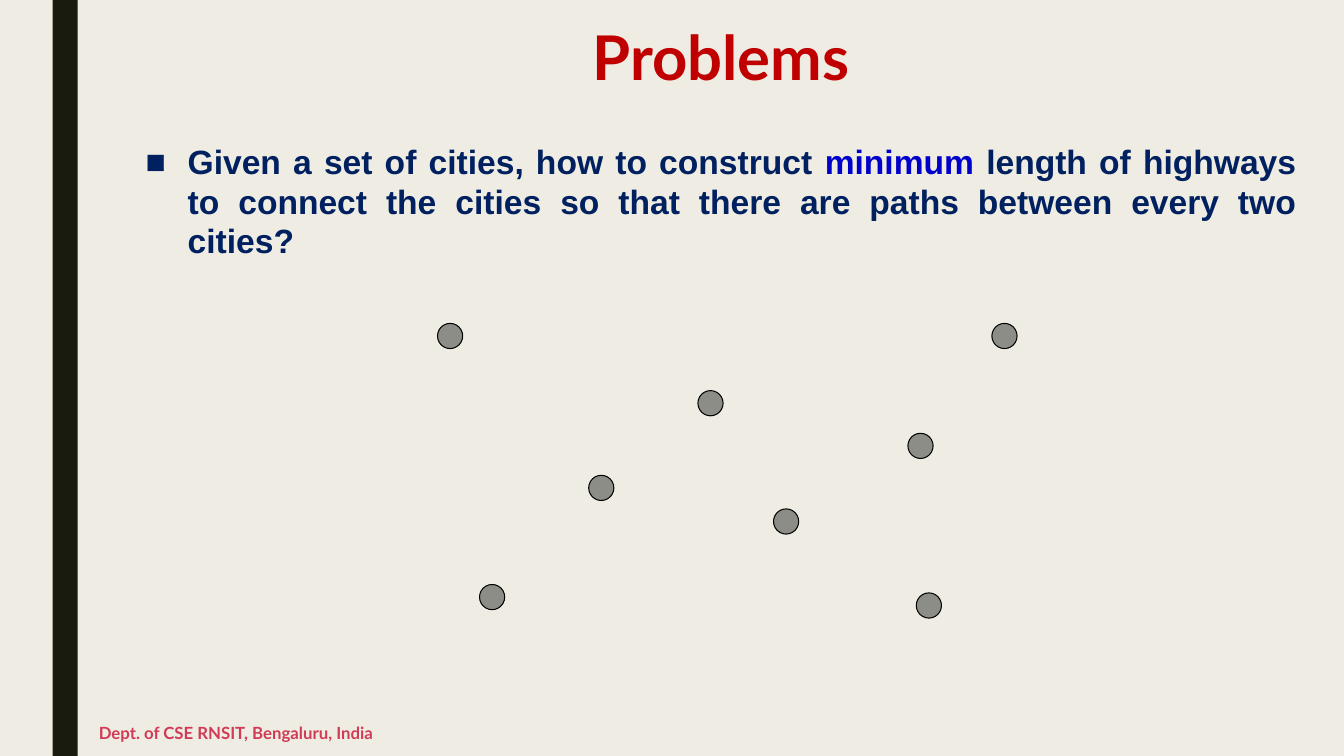
from dataclasses import dataclass

from lxml import etree
from pptx import Presentation
from pptx.dml.color import RGBColor
from pptx.enum import shapes, text
from pptx.oxml import ns
from pptx.util import Pt


@dataclass(frozen=True)
class Theme:
    background: str = "EFEDE3"
    bar: str = "191B0E"
    title: str = "C00000"
    body: str = "002060"
    accent: str = "0000CC"
    footer: str = "D13B56"
    city: str = "8C8D86"
    outline: str = "000000"
    heading_font: str = "Lato"
    body_font: str = "Arial"
    title_size: float = 44
    body_size: float = 24
    footer_size: float = 12


THEME = Theme()
CITY_SIZE = 18
# Left and top of each city, in points
CITIES = [(312.5, 231), (342.5, 417.5), (498.5, 279), (552.5, 363.5),
          (648.5, 309.5), (654.5, 423.5), (708.5, 231), (420.5, 339.5)]


def rgb(value):
    return RGBColor.from_string(value)


def set_attrs(target, values):
    for name, value in values.items():
        setattr(target, name, value)


def add_filled(s, kind, box, fill, line=None):
    sp = s.shapes.add_shape(kind, *map(Pt, box))
    sp.shadow.inherit = False
    sp.fill.solid()
    sp.fill.fore_color.rgb = rgb(fill)
    if line:
        sp.line.color.rgb = rgb(line)
        sp.line.width = Pt(0.75)
    else:
        sp.line.fill.background()


def add_text(s, box, runs, font, size, anchor=text.MSO_ANCHOR.TOP, **paragraph):
    """Add one bold paragraph made of (text, colour) runs."""
    tf = s.shapes.add_textbox(*map(Pt, box)).text_frame
    set_attrs(tf, {"word_wrap": True, "vertical_anchor": anchor})
    p = tf.paragraphs[0]
    set_attrs(p, paragraph)
    for content, color in runs:
        r = p.add_run()
        r.text = content
        set_attrs(r.font, {"name": font, "size": Pt(size), "bold": True})
        r.font.color.rgb = rgb(color)
    return p


def add_bullet(p, char, indent):
    props = p._p.get_or_add_pPr()
    props.set("marL", str(Pt(indent)))
    props.set("indent", str(Pt(-indent)))
    etree.SubElement(props, ns.qn("a:buFont")).set("typeface", THEME.body_font)
    etree.SubElement(props, ns.qn("a:buChar")).set("char", char)


def main():
    prs = Presentation()
    set_attrs(prs, {"slide_width": Pt(960), "slide_height": Pt(540)})
    s = prs.slides.add_slide(prs.slide_layouts[6])

    # Background and side bar
    s.background.fill.solid()
    s.background.fill.fore_color.rgb = rgb(THEME.background)
    add_filled(s, shapes.MSO_SHAPE.RECTANGLE, (37.5, 0, 18, 540), THEME.bar)

    # Title
    add_text(s, (97, 16.5, 836, 63.5), [("Problems", THEME.title)],
             THEME.heading_font, THEME.title_size,
             alignment=text.PP_ALIGN.CENTER, line_spacing=0.89)

    # Question
    question = [
        ("Given a set of cities, how to construct ", THEME.body),
        ("minimum", THEME.accent),
        (" length of highways to connect the cities so that there are paths "
         "between every two cities?", THEME.body),
    ]
    p = add_text(s, (97, 98.5, 836, 394), question,
                 THEME.body_font, THEME.body_size,
                 alignment=text.PP_ALIGN.JUSTIFY, line_spacing=0.98,
                 space_after=Pt(2))
    add_bullet(p, "■", 30)

    # Cities
    for left, top in CITIES:
        add_filled(s, shapes.MSO_SHAPE.OVAL, (left, top, CITY_SIZE, CITY_SIZE),
                   THEME.city, THEME.outline)

    # Footer
    add_text(s, (63.5, 507.5, 494.5, 31.5),
             [("Dept. of CSE RNSIT, Bengaluru, India", THEME.footer)],
             THEME.heading_font, THEME.footer_size,
             anchor=text.MSO_ANCHOR.MIDDLE)

    prs.save("out.pptx")


if __name__ == "__main__":
    main()
